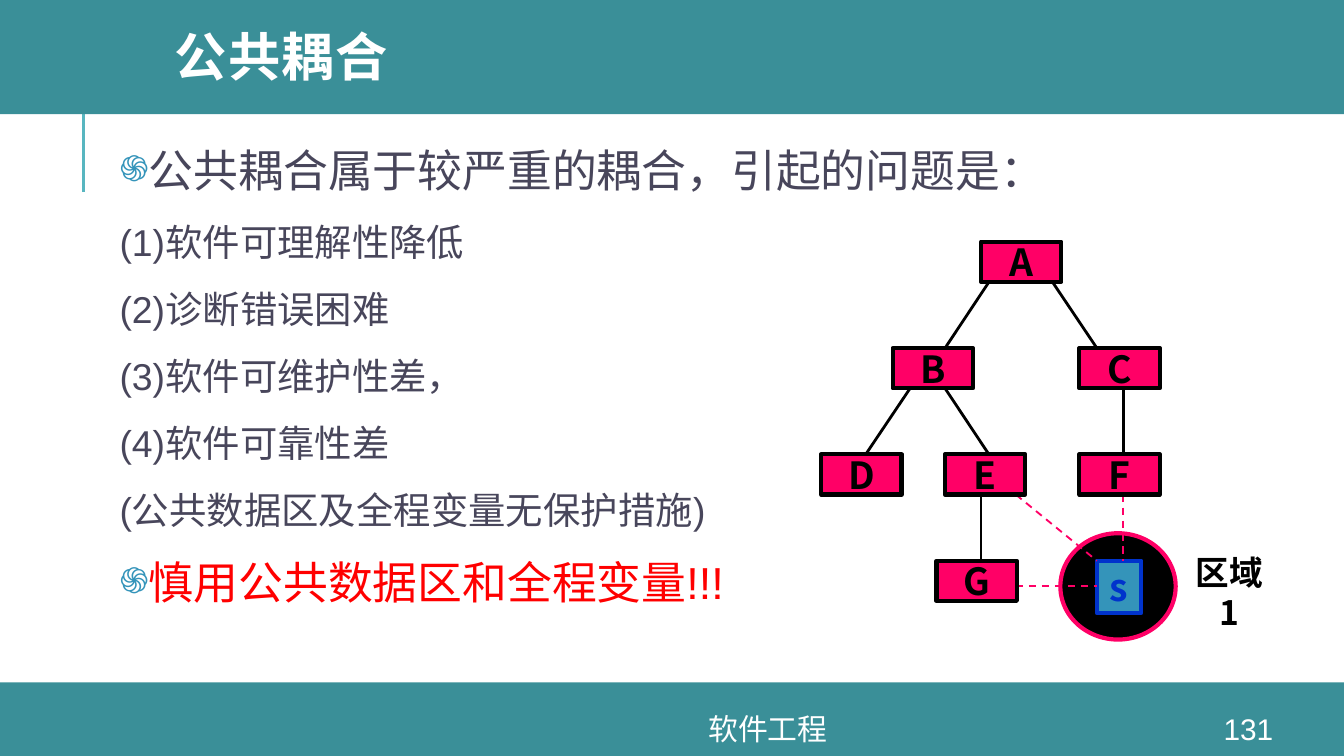
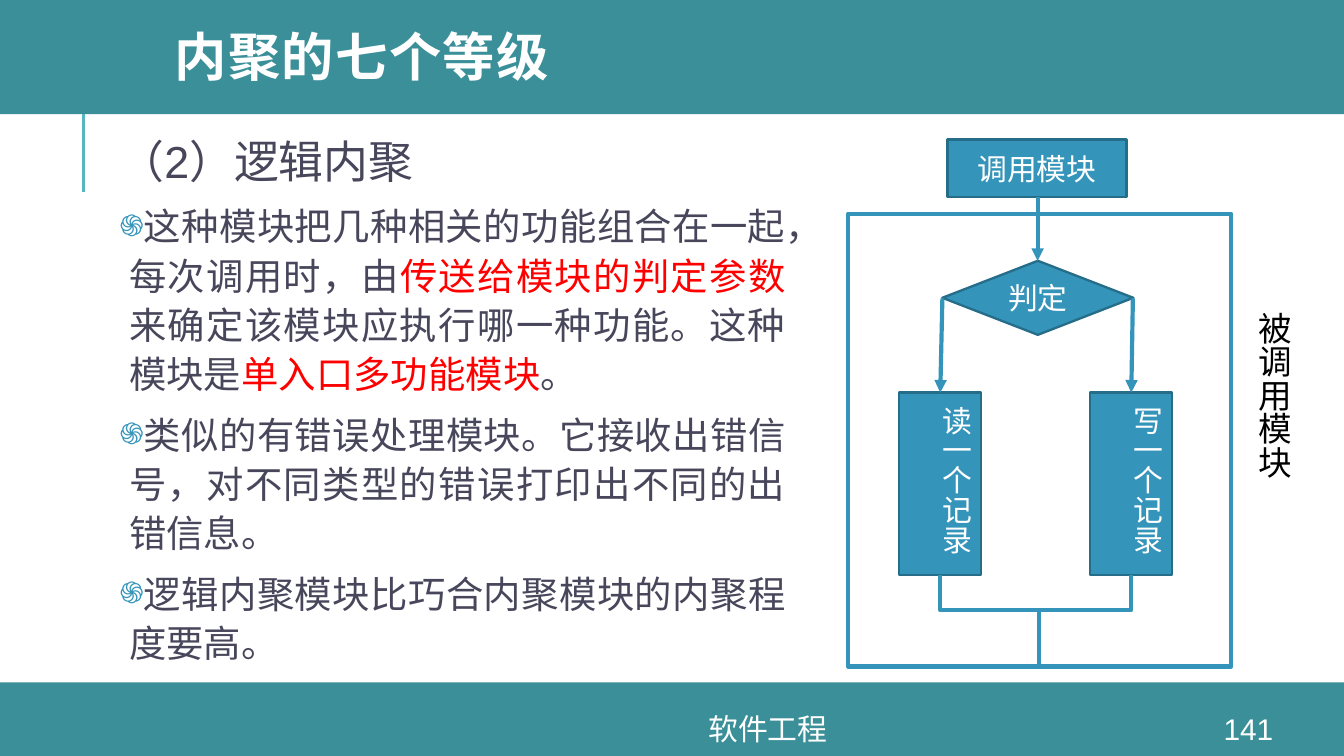
from pptx import Presentation
from pptx import util as u
from pptx.dml.color import RGBColor
from pptx.enum import dml, shapes, text
from pptx.oxml import parse_xml
from pptx.oxml.ns import nsdecls, qn

COLORS = {
    "band": "3A8F98", "rule": "58B6C0", "white": "FFFFFF", "black": "000000",
    "body": "48465B", "alert": "FF0000", "accent": "3494BA", "edge": "266D8A",
    "module": "FF0066", "data": "0033CC",
}
TITLE_FONT, BODY_FONT, LABEL_FONT = "Montserrat", "Arial", "Noto Sans CJK SC"
CENTER, JUSTIFY = text.PP_ALIGN.CENTER, text.PP_ALIGN.JUSTIFY
MIDDLE = text.MSO_ANCHOR.MIDDLE
RECT = shapes.MSO_SHAPE.RECTANGLE


def rgb(color):
    return RGBColor.from_string(COLORS[color])


def cm(*lengths):
    return [u.Cm(length) for length in lengths]


def xml(tag, attributes="", content=""):
    return parse_xml(f'<a:{tag} {nsdecls("a")} {attributes}>{content}</a:{tag}>')


def format_run(run, size, color, font=BODY_FONT, bold=False):
    run.font.size = u.Pt(size)
    run.font.bold = bold
    run.font.color.rgb = rgb(color)
    run.font.name = font
    run.font._element.append(xml("ea", f'typeface="{font}"'))


def write(shape, words, size, color, font=BODY_FONT, bold=False,
          align=CENTER, anchor=MIDDLE, wrap=True, vertical=False):
    frame = shape.text_frame
    frame.text = words
    frame.word_wrap = wrap
    frame.vertical_anchor = anchor
    if vertical:
        frame._txBody.bodyPr.set("vert", "eaVert")
    paragraph = frame.paragraphs[0]
    paragraph.alignment = align
    format_run(paragraph.runs[0], size, color, font, bold)
    return paragraph


def add_label(slide, box, words, size, color, **style):
    return write(slide.shapes.add_textbox(*cm(*box)), words, size, color, **style)


def add_figure(slide, kind, box, fill=None, line=None, width=1.25):
    figure = slide.shapes.add_shape(kind, *cm(*box))
    figure.shadow.inherit = False
    if fill:
        figure.fill.solid()
        figure.fill.fore_color.rgb = rgb(fill)
    else:
        figure.fill.background()
    if line:
        figure.line.color.rgb = rgb(line)
        figure.line.width = u.Pt(width)
    else:
        figure.line.fill.background()
    return figure


def add_link(slide, start, end, color, width, dashed=False, arrow=False,
             kind=shapes.MSO_CONNECTOR.STRAIGHT):
    link = slide.shapes.add_connector(kind, *cm(*start, *end))
    link.line.color.rgb = rgb(color)
    link.line.width = u.Pt(width)
    if dashed:
        link.line.dash_style = dml.MSO_LINE.DASH
    if arrow:
        link.line._get_or_add_ln().append(xml("tailEnd", 'type="triangle"'))
    link._element.spPr.append(xml("effectLst"))
    return link


def add_corner(slide, start, end, color, width):
    """Link that first goes down from start, then sideways to end."""
    (x1, y1), (x2, y2) = start, end
    mid_x, mid_y = (x1 + x2) / 2, (y1 + y2) / 2
    half_w, half_h = (y2 - y1) / 2, abs(x2 - x1) / 2
    rightward = x2 > x1
    if rightward:
        half_w = -half_w
    link = add_link(slide, (mid_x - half_w, mid_y - half_h),
                    (mid_x + half_w, mid_y + half_h), color, width,
                    kind=shapes.MSO_CONNECTOR.ELBOW)
    properties = link._element.spPr
    properties.find(qn("a:xfrm")).set("rot", "16200000" if rightward else "5400000")
    properties.find(qn("a:prstGeom")).set("prst", "bentConnector2")


def add_bullet(paragraph):
    properties = paragraph._p.get_or_add_pPr()
    properties.set("marL", str(u.Cm(0.18)))
    properties.set("indent", str(u.Cm(-1.19)))
    properties.append(xml("buClr", content=f'<a:srgbClr val="{COLORS["accent"]}"/>'))
    properties.append(xml("buSzPct", 'val="80000"'))
    properties.append(xml("buFont", f'typeface="{BODY_FONT}"'))
    properties.append(xml("buChar", 'char="֍"'))


def add_body(slide, box, points, gap, spacing):
    """Each point is (bulleted, size, [(words, color), ...])."""
    frame = slide.shapes.add_textbox(*cm(*box)).text_frame
    frame.word_wrap = True
    frame.margin_left = frame.margin_right = u.Cm(0.13)
    for index, (bulleted, size, parts) in enumerate(points):
        paragraph = frame.add_paragraph() if index else frame.paragraphs[0]
        paragraph._p.get_or_add_pPr().set("hangingPunct", "1")
        if bulleted:
            add_bullet(paragraph)
        paragraph.alignment = JUSTIFY
        paragraph.line_spacing = spacing
        paragraph.space_before = u.Pt(gap if index else 0)
        for words, color in parts:
            run = paragraph.add_run()
            run.text = words
            format_run(run, size, color)


def start_slide(deck, title, number):
    slide = deck.slides.add_slide(deck.slide_layouts[6])
    add_link(slide, (1.58, 3.63), (1.58, 1.73), "rule", 1.5)
    add_figure(slide, RECT, (0, 12.9, 25.4, 1.39), "band")
    add_figure(slide, RECT, (0, -0.08, 25.4, 2.24), "band")
    heading = add_label(slide, (3.05, 0, 21.56, 2.31), title, 28, "white",
                        font=TITLE_FONT, bold=True, align=text.PP_ALIGN.LEFT)
    heading.line_spacing = 0.8
    heading.runs[0].font._element.set("spc", "80")
    add_label(slide, (6.63, 13.49, 15.77, 0.58), "软件工程", 16, "white")
    add_label(slide, (22.58, 13.49, 2.03, 0.58), number, 16, "white")
    return slide


def draw_module_tree(slide):
    node_w, node_h = 1.52, 0.76
    levels = [4.57 + 2.01 * level for level in range(4)]
    modules = {"G": (17.7, 3), "F": (20.4, 2), "E": (17.86, 2), "D": (15.52, 2),
               "C": (20.4, 1), "B": (16.87, 1), "A": (18.54, 0)}
    # Upper level, x at the caller, x at the called module
    calls = [(1, 21.23, 21.23), (0, 18.69, 17.86), (0, 19.89, 20.73),
             (1, 17.86, 18.69), (1, 17.2, 16.36), (2, 18.54, 18.54)]
    data_x, data_y = 20.73, levels[3]
    f_x, e_x, g_y = 21.23, 19.2, 11.07
    base = levels[2] + node_h
    accesses = [((f_x, base), (f_x, data_y)), ((e_x, g_y), (data_x, g_y)),
                ((e_x, base), (data_x, data_y))]
    label = dict(font=LABEL_FONT, bold=True)

    add_label(slide, (22.17, 10.31, 2.13, 1.02), "区域1", 18, "black",
              anchor=text.MSO_ANCHOR.TOP, **label)
    add_figure(slide, shapes.MSO_SHAPE.OVAL, (20.04, 10.08, 2.18, 2.01),
               "black", "module", 2.25)
    shared = add_figure(slide, RECT, (data_x, data_y, 0.84, 0.99),
                        "accent", "data", 2.25)
    write(shared, "s", 20, "data", wrap=False, **label)
    for start, end in accesses:
        add_link(slide, start, end, "module", 1, dashed=True)
    for level, x1, x2 in calls:
        add_link(slide, (x1, levels[level] + node_h), (x2, levels[level + 1]),
                 "black", 1.5)
    for name, (x, level) in modules.items():
        module = add_figure(slide, RECT, (x, levels[level], node_w, node_h),
                            "module", "black", 2.25)
        write(module, name, 20, "black", wrap=False, **label)


def draw_logic_flow(slide):
    top = text.MSO_ANCHOR.TOP
    axis, test_y, record_y, record_h = 19.61, 5.64, 7.42, 3.45
    join = (19.96, 11.53)
    line = ("accent", 2.25)

    def step(kind, box, words, **style):
        write(add_figure(slide, kind, box, "accent", "edge"), words, 16, "white", **style)

    step(RECT, (17.91, 2.64, 3.38, 1.09), "调用模块")
    add_figure(slide, RECT, (16.03, 4.04, 7.24, 8.56), None, *line)
    add_label(slide, (23.32, 5.64, 1.27, 4.24), "被调用模块", 18, "black",
              align=text.PP_ALIGN.LEFT, anchor=top, vertical=True)
    step(shapes.MSO_SHAPE.DIAMOND, (17.81, 4.93, 3.61, 1.4), "判定")
    add_link(slide, (axis, 3.73), (axis, 4.93), *line, arrow=True)
    branches = [("读一个记录", 16.99, 17.81), ("写一个记录", 20.6, 21.41)]
    for words, left, test_x in branches:
        center = left + 0.78
        step(RECT, (left, record_y, 1.55, record_h), words, anchor=top, vertical=True)
        add_link(slide, (test_x, test_y), (center, record_y), *line, arrow=True)
        add_corner(slide, (center, record_y + record_h), join, *line)
    add_link(slide, (19.64, 12.6), (19.64, join[1]), *line)


def main():
    deck = Presentation()
    deck.slide_width, deck.slide_height = cm(25.4, 14.29)

    coupling = start_slide(deck, "公共耦合", "131")
    problems = ["(1)软件可理解性降低", "(2)诊断错误困难", "(3)软件可维护性差，",
                "(4)软件可靠性差", "(公共数据区及全程变量无保护措施)"]
    add_body(coupling, (2.13, 2.57, 21.77, 10.57), [
        (True, 24, [("公共耦合属于较严重的耦合，引起的问题是：", "body")]),
        *[(False, 20, [(problem, "body")]) for problem in problems],
        (True, 24, [("慎用公共数据区和全程变量!!!", "alert")]),
    ], gap=12, spacing=1.0)
    draw_module_tree(coupling)

    cohesion = start_slide(deck, "内聚的七个等级", "141")
    add_body(cohesion, (2.13, 2.31, 12.85, 10.44), [
        (False, 24, [("（2）逻辑内聚", "body")]),
        (True, 20, [("这种模块把几种相关的功能组合在一起，每次调用时，由", "body"),
                    ("传送给模块的判定参数", "alert"),
                    ("来确定该模块应执行哪一种功能。这种模块是", "body"),
                    ("单入口多功能模块", "alert"), ("。", "body")]),
        (True, 20, [("类似的有错误处理模块。它接收出错信号，"
                     "对不同类型的错误打印出不同的出错信息。", "body")]),
        (True, 20, [("逻辑内聚模块比巧合内聚模块的内聚程度要高。", "body")]),
    ], gap=6, spacing=1.1)
    draw_logic_flow(cohesion)

    deck.save("out.pptx")


if __name__ == "__main__":
    main()
